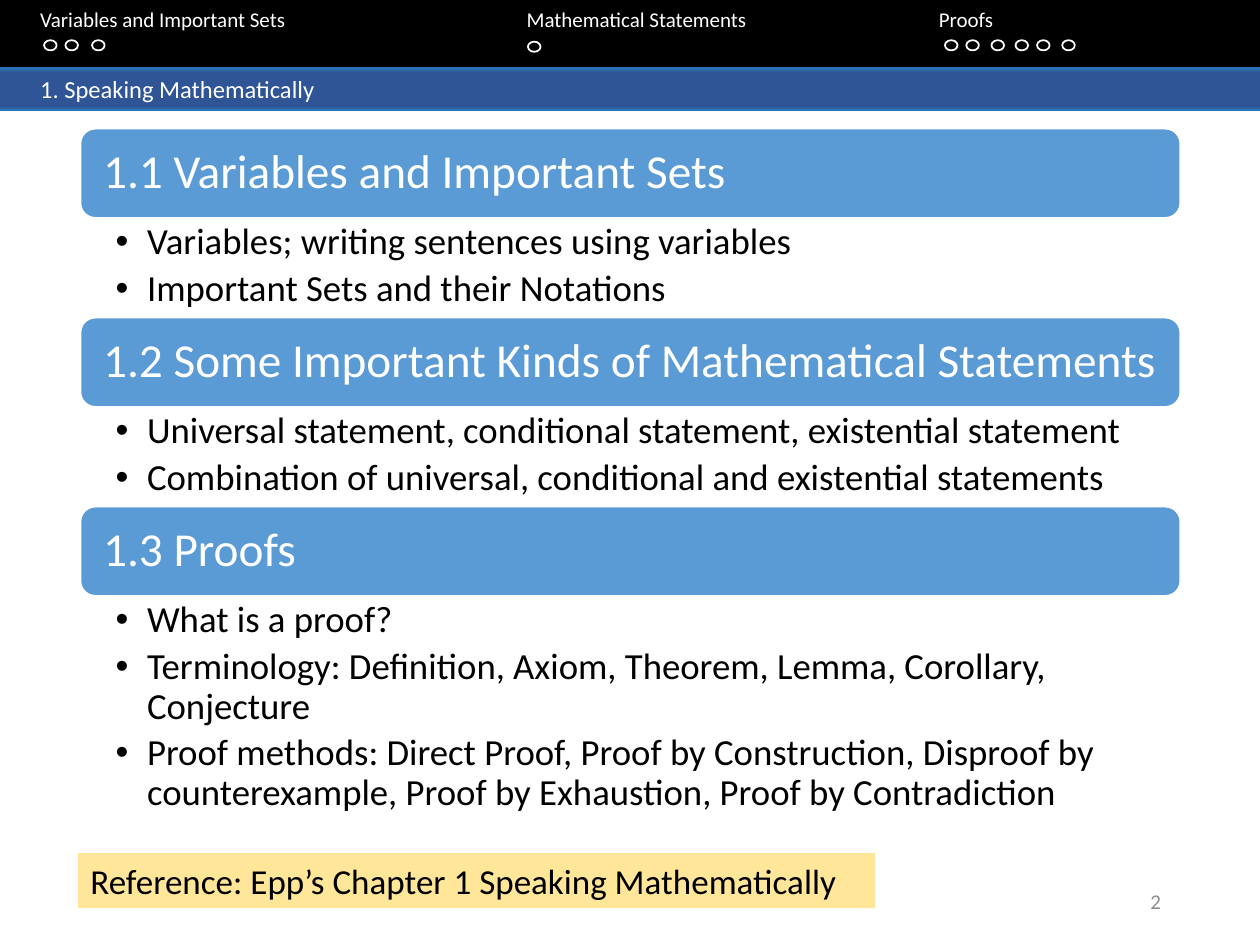
"""Builds the outline slide for a chapter on speaking mathematically."""
from copy import deepcopy
from dataclasses import dataclass

from lxml import etree
from pptx import Presentation
from pptx import util as u
from pptx.dml.color import RGBColor
from pptx.enum import shapes, text
from pptx.oxml import ns


@dataclass(frozen=True)
class Theme:
    font: str = "Calibri"
    white: str = "FFFFFF"
    black: str = "000000"
    heading_fill: str = "5B9BD5"
    reference_fill: str = "FFE699"
    page_grey: str = "8C8C8C"
    bar_stops: tuple = ((0, "2E75B6"), (0.11, "2F5597"), (0.91, "2F5597"), (1, "2E75B6"))
    small: int = 12
    title: int = 14
    reference: int = 20
    body: int = 21
    heading: int = 27


THEME = Theme()
NAVIGATION = "Variables and Important Sets\tMathematical Statements\tProofs"
DOTS = (
    (23, (25.2, 37.4, 52.6)),
    (23.8, (301.7,)),
    (23, (540, 552.2, 566.6, 580.3, 592.6, 607)),
)
SECTIONS = (
    ("1.1 Variables and Important Sets", 57, (
        "Variables; writing sentences using variables",
        "Important Sets and their Notations",
    )),
    ("1.2 Some Important Kinds of Mathematical Statements", 57, (
        "Universal statement, conditional statement, existential statement",
        "Combination of universal, conditional and existential statements",
    )),
    ("1.3 Proofs", 132, (
        "What is a proof?",
        "Terminology: Definition, Axiom, Theorem, Lemma, Corollary, Conjecture",
        "Proof methods: Direct Proof, Proof by Construction, Disproof by "
        "counterexample, Proof by Exhaustion, Proof by Contradiction",
    )),
)
SECTION_LEFT, SECTION_TOP, SECTION_WIDTH, HEADING_HEIGHT = 46, 73.5, 628.5, 51


def place(shape, left, top, width, height):
    shape.left, shape.top = u.Pt(left), u.Pt(top)
    shape.width, shape.height = u.Pt(width), u.Pt(height)


def set_frame(shape, margins=(7.2, 3.6, 7.2, 3.6), anchor=text.MSO_ANCHOR.TOP):
    frame = shape.text_frame
    frame.word_wrap = True
    frame.auto_size = text.MSO_AUTO_SIZE.NONE
    frame.vertical_anchor = anchor
    frame.margin_left, frame.margin_top, frame.margin_right, frame.margin_bottom = map(u.Pt, margins)
    return frame


def style_paragraph(paragraph, size, color, align=text.PP_ALIGN.LEFT):
    paragraph.alignment = align
    paragraph.font.name = THEME.font
    paragraph.font.size = u.Pt(size)
    paragraph.font.bold = False
    paragraph.font.color.rgb = RGBColor.from_string(color)


def write_line(shape, wording, size, color, align=text.PP_ALIGN.LEFT, **frame_options):
    paragraph = set_frame(shape, **frame_options).paragraphs[0]
    paragraph.text = wording
    style_paragraph(paragraph, size, color, align)
    return paragraph


def add_block(slide, kind, box, fill=None, line=None):
    shape = slide.shapes.add_shape(kind, *map(u.Pt, box))
    shape.shadow.inherit = False
    if fill:
        shape.fill.solid()
        shape.fill.fore_color.rgb = RGBColor.from_string(fill)
    else:
        shape.fill.background()
    if line:
        shape.line.color.rgb = RGBColor.from_string(line)
        shape.line.width = u.Pt(1)
    else:
        shape.line.fill.background()
    return shape


def fill_bar(shape):
    shape.fill.gradient()
    shape.fill.gradient_angle = 270
    stop_list = shape._element.find(".//" + ns.qn("a:gsLst"))
    for stop in list(stop_list):
        stop_list.append(deepcopy(stop))
    for stop, (position, color) in zip(shape.fill.gradient_stops, THEME.bar_stops):
        stop.position = position
        stop.color.rgb = RGBColor.from_string(color)


def add_navigation(slide):
    add_block(slide, shapes.MSO_SHAPE.RECTANGLE, (0, -1.4, 720, 40.3), THEME.black)
    box = slide.shapes.add_textbox(0, 0, u.Pt(720), u.Pt(36))
    properties = box.text_frame.paragraphs[0]._p.get_or_add_pPr()
    tabs = etree.SubElement(properties, ns.qn("a:tabLst"))
    for position in (278, 513.5):
        etree.SubElement(tabs, ns.qn("a:tab"), pos=str(u.Pt(position)), algn="l")
    write_line(box, NAVIGATION, THEME.small, THEME.white, margins=(23, 3.6, 7.2, 3.6))
    for top, lefts in DOTS:
        for left in lefts:
            add_block(slide, shapes.MSO_SHAPE.OVAL, (left, top, 7.2, 5.8), line=THEME.white)


def add_title(slide):
    under_bar = add_block(slide, shapes.MSO_SHAPE.RECTANGLE, (0, 38.2, 720, 21.6), THEME.black)
    fill_bar(under_bar)
    title = slide.shapes.title
    slide.shapes._spTree.append(title._element)
    place(title, 0, 38.9, 720, 24)
    fill_bar(title)
    write_line(title, "1. Speaking Mathematically", THEME.title, THEME.white,
               margins=(23, 3.6, 7.2, 3.6), anchor=text.MSO_ANCHOR.MIDDLE)


def fill_list(body, items):
    frame = set_frame(body, margins=(20, 3, 15, 3))
    for index, item in enumerate(items):
        paragraph = frame.add_paragraph() if index else frame.paragraphs[0]
        paragraph.text = item
        paragraph.level = 1
        properties = paragraph._p.get_or_add_pPr()
        properties.set("marL", str(u.Pt(18)))
        properties.set("indent", str(u.Pt(-18)))
        etree.SubElement(properties, ns.qn("a:buFont"), typeface="Arial")
        etree.SubElement(properties, ns.qn("a:buChar"), char="•")
        paragraph.line_spacing = 0.9
        paragraph.space_before, paragraph.space_after = u.Pt(0), u.Pt(4)
        style_paragraph(paragraph, THEME.body, THEME.black)


def add_sections(slide, bodies):
    top = SECTION_TOP
    for body, (heading, list_height, items) in zip(bodies, SECTIONS):
        box = (SECTION_LEFT, top, SECTION_WIDTH, HEADING_HEIGHT)
        block = add_block(slide, shapes.MSO_SHAPE.ROUNDED_RECTANGLE, box,
                          THEME.heading_fill, THEME.white)
        paragraph = write_line(block, heading, THEME.heading, THEME.white,
                               margins=(10.5, 8, 8, 8), anchor=text.MSO_ANCHOR.MIDDLE)
        paragraph.line_spacing = 0.9
        top += HEADING_HEIGHT
        place(body, SECTION_LEFT, top, SECTION_WIDTH, list_height)
        fill_list(body, items)
        top += list_height


def add_footer(slide):
    reference = add_block(slide, shapes.MSO_SHAPE.RECTANGLE, (44.6, 487.5, 455.5, 31.5),
                          THEME.reference_fill)
    write_line(reference, "Reference: Epp’s Chapter 1 Speaking Mathematically",
               THEME.reference, THEME.black)
    page = slide.shapes.add_textbox(*map(u.Pt, (508.5, 500.5, 162, 28.8)))
    write_line(page, "2", THEME.small, THEME.page_grey, text.PP_ALIGN.RIGHT,
               anchor=text.MSO_ANCHOR.MIDDLE)


def main():
    presentation = Presentation()
    presentation.slide_width, presentation.slide_height = u.Pt(720), u.Pt(540)
    slide = presentation.slides.add_slide(presentation.slide_layouts.get_by_name("Comparison"))
    *bodies, spare = list(slide.placeholders)[1:]
    spare._element.getparent().remove(spare._element)
    add_navigation(slide)
    add_title(slide)
    add_sections(slide, bodies)
    add_footer(slide)
    presentation.save("out.pptx")


if __name__ == "__main__":
    main()
